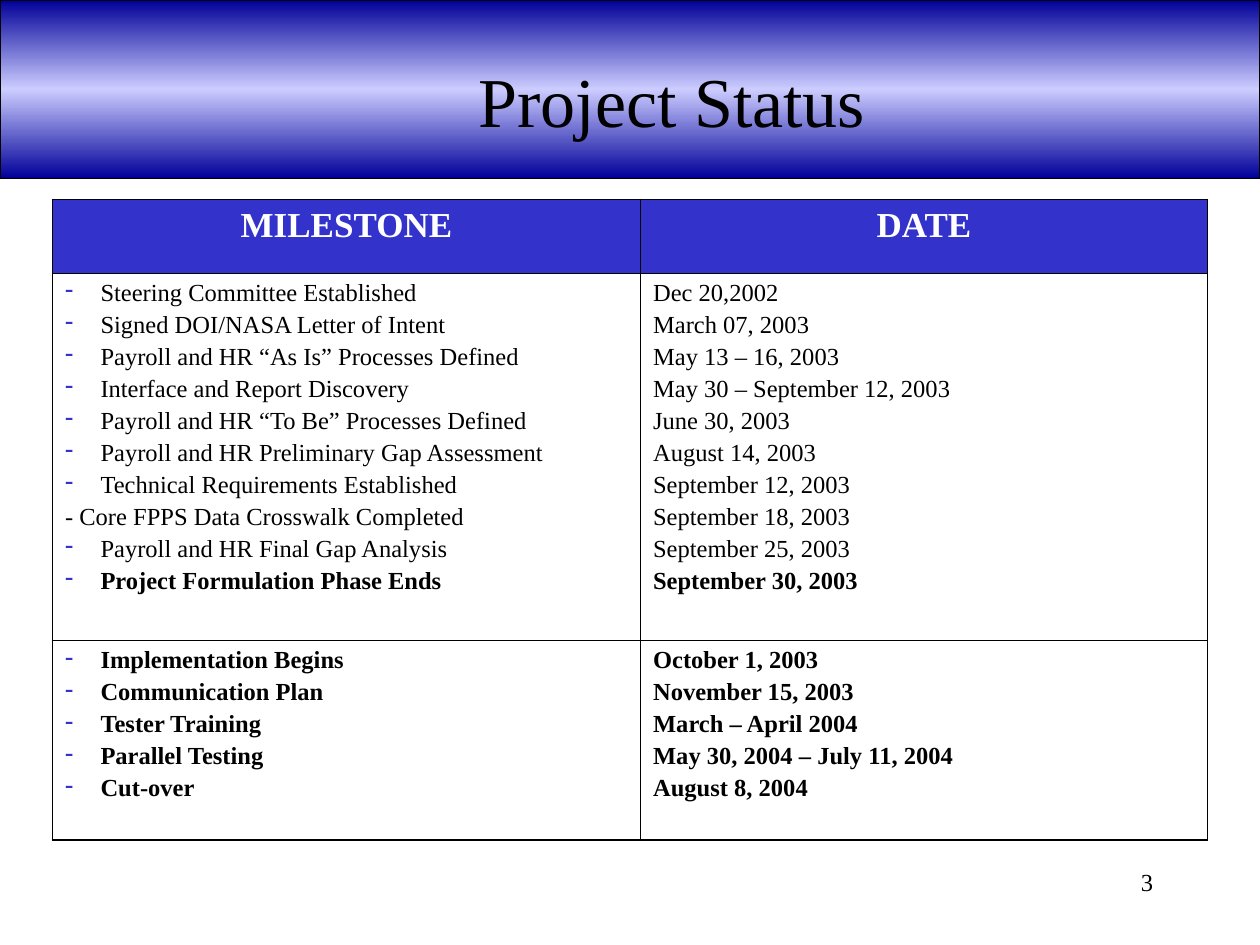
from pptx import Presentation
from pptx.dml.color import RGBColor
from pptx.enum.shapes import MSO_SHAPE
from pptx.enum.text import MSO_ANCHOR, PP_ALIGN
from pptx.oxml.ns import qn
from pptx.util import Pt
from lxml import etree

RECT = MSO_SHAPE.RECTANGLE
TOP, MIDDLE = MSO_ANCHOR.TOP, MSO_ANCHOR.MIDDLE
LEFT, CENTER, RIGHT = PP_ALIGN.LEFT, PP_ALIGN.CENTER, PP_ALIGN.RIGHT

# Content
TITLE = "Project Status"
PAGE_NUMBER = "3"
HEADINGS = ("MILESTONE", "DATE")
# Each phase lists milestone, date, bold, bulleted
FORMULATION = [
    ("Steering Committee Established", "Dec 20,2002", False, True),
    ("Signed DOI/NASA Letter of Intent", "March 07, 2003", False, True),
    ("Payroll and HR “As Is” Processes Defined", "May 13 – 16, 2003", False, True),
    ("Interface and Report Discovery", "May 30 – September 12, 2003", False, True),
    ("Payroll and HR “To Be” Processes Defined", "June 30, 2003", False, True),
    ("Payroll and HR Preliminary Gap Assessment", "August 14, 2003", False, True),
    ("Technical Requirements Established", "September 12, 2003", False, True),
    ("- Core FPPS Data Crosswalk Completed", "September 18, 2003", False, False),
    ("Payroll and HR Final Gap Analysis", "September 25, 2003", False, True),
    ("Project Formulation Phase Ends", "September 30, 2003", True, True),
]
IMPLEMENTATION = [
    ("Implementation Begins", "October 1, 2003", True, True),
    ("Communication Plan", "November 15, 2003", True, True),
    ("Tester Training", "March – April 2004", True, True),
    ("Parallel Testing", "May 30, 2004 – July 11, 2004", True, True),
    ("Cut-over", "August 8, 2004", True, True),
]
PHASES = (FORMULATION, IMPLEMENTATION)

THEME = {
    "font": "Times New Roman",
    "text": "000000", "heading_text": "FFFFFF", "accent": "3333CC",
    "banner": ((0, "000099"), (50, "CCCCFF"), (100, "000099")),
    "title_size": 40, "heading_size": 20, "body_size": 14,
    "gap": 2.8, "indent": 20.25, "outer": 1.08, "inner": 0.45,
}
SLIDE_W, SLIDE_H = 720, 540
COLUMNS = (336, 324)
ROWS = (42, 210, 114)


def write(frame, text, size=THEME["body_size"], color=THEME["text"], bold=False,
          align=LEFT, bullet=False, first=True):
    """Write one paragraph into a text frame."""
    paragraph = frame.paragraphs[0] if first else frame.add_paragraph()
    paragraph.alignment = align
    if not first:
        paragraph.space_before = Pt(THEME["gap"])
    if bullet:
        props = paragraph._p.get_or_add_pPr()
        props.set("marL", str(Pt(THEME["indent"])))
        props.set("indent", str(-Pt(THEME["indent"])))
        bullet_color = etree.SubElement(props, qn("a:buClr"))
        etree.SubElement(bullet_color, qn("a:srgbClr"), val=THEME["accent"])
        etree.SubElement(props, qn("a:buChar"), char="-")
    run = paragraph.add_run()
    run.text = text
    run.font.name = THEME["font"]
    run.font.size = Pt(size)
    run.font.bold = bold
    run.font.color.rgb = RGBColor.from_string(color)


def add_label(slide, box, text, anchor=TOP, **text_format):
    frame = slide.shapes.add_textbox(*map(Pt, box)).text_frame
    frame.word_wrap = True
    frame.vertical_anchor = anchor
    write(frame, text, **text_format)


def add_banner(slide):
    banner = slide.shapes.add_shape(RECT, 0, 0, Pt(SLIDE_W), Pt(102))
    banner.shadow.inherit = False
    banner.line.color.rgb = RGBColor.from_string(THEME["text"])
    banner.line.width = Pt(1)
    banner.fill.gradient()
    banner.fill.gradient_angle = 90
    stops = next(banner._element.iter(qn("a:gsLst")))
    for stop in list(stops):
        stops.remove(stop)
    for percent, color in THEME["banner"]:
        stop = etree.SubElement(stops, qn("a:gs"), pos=str(percent * 1000))
        etree.SubElement(stop, qn("a:srgbClr"), val=color)


def set_borders(cell, row, column):
    """Heavy lines around the table, fine lines between cells."""
    outer_sides = {"L": column == 0, "R": column == len(COLUMNS) - 1,
                   "T": row == 0, "B": row == len(ROWS) - 1}
    props = cell._tc.get_or_add_tcPr()
    for side, is_outer in outer_sides.items():
        width = Pt(THEME["outer" if is_outer else "inner"])
        line = etree.SubElement(props, qn(f"a:ln{side}"), w=str(width))
        fill = etree.SubElement(line, qn("a:solidFill"))
        etree.SubElement(fill, qn("a:srgbClr"), val=THEME["text"])


def add_milestone_table(slide):
    table = slide.shapes.add_table(len(ROWS), len(COLUMNS), Pt(30), Pt(114),
                                   Pt(sum(COLUMNS)), Pt(sum(ROWS))).table
    table.first_row = table.horz_banding = False
    for column, width in enumerate(COLUMNS):
        table.columns[column].width = Pt(width)
    for row, height in enumerate(ROWS):
        table.rows[row].height = Pt(height)
        for column in range(len(COLUMNS)):
            cell = table.cell(row, column)
            set_borders(cell, row, column)
            if row == 0:
                cell.fill.solid()
                cell.fill.fore_color.rgb = RGBColor.from_string(THEME["accent"])
                write(cell.text_frame, HEADINGS[column], size=THEME["heading_size"],
                      color=THEME["heading_text"], bold=True, align=CENTER)
                continue
            cell.fill.background()
            for index, entry in enumerate(PHASES[row - 1]):
                bold, bulleted = entry[2:]
                write(cell.text_frame, entry[column], bold=bold,
                      bullet=bulleted and column == 0, first=index == 0)


def main():
    deck = Presentation()
    deck.slide_width, deck.slide_height = Pt(SLIDE_W), Pt(SLIDE_H)
    slide = deck.slides.add_slide(deck.slide_layouts[6])
    # Banner and title
    add_banner(slide)
    add_label(slide, (174, 12, 420, 90), TITLE, anchor=MIDDLE,
              size=THEME["title_size"], align=CENTER)
    # Milestones
    add_milestone_table(slide)
    # Page number
    add_label(slide, (516, 492, 150, 36), PAGE_NUMBER, align=RIGHT)
    deck.save("out.pptx")


if __name__ == "__main__":
    main()
